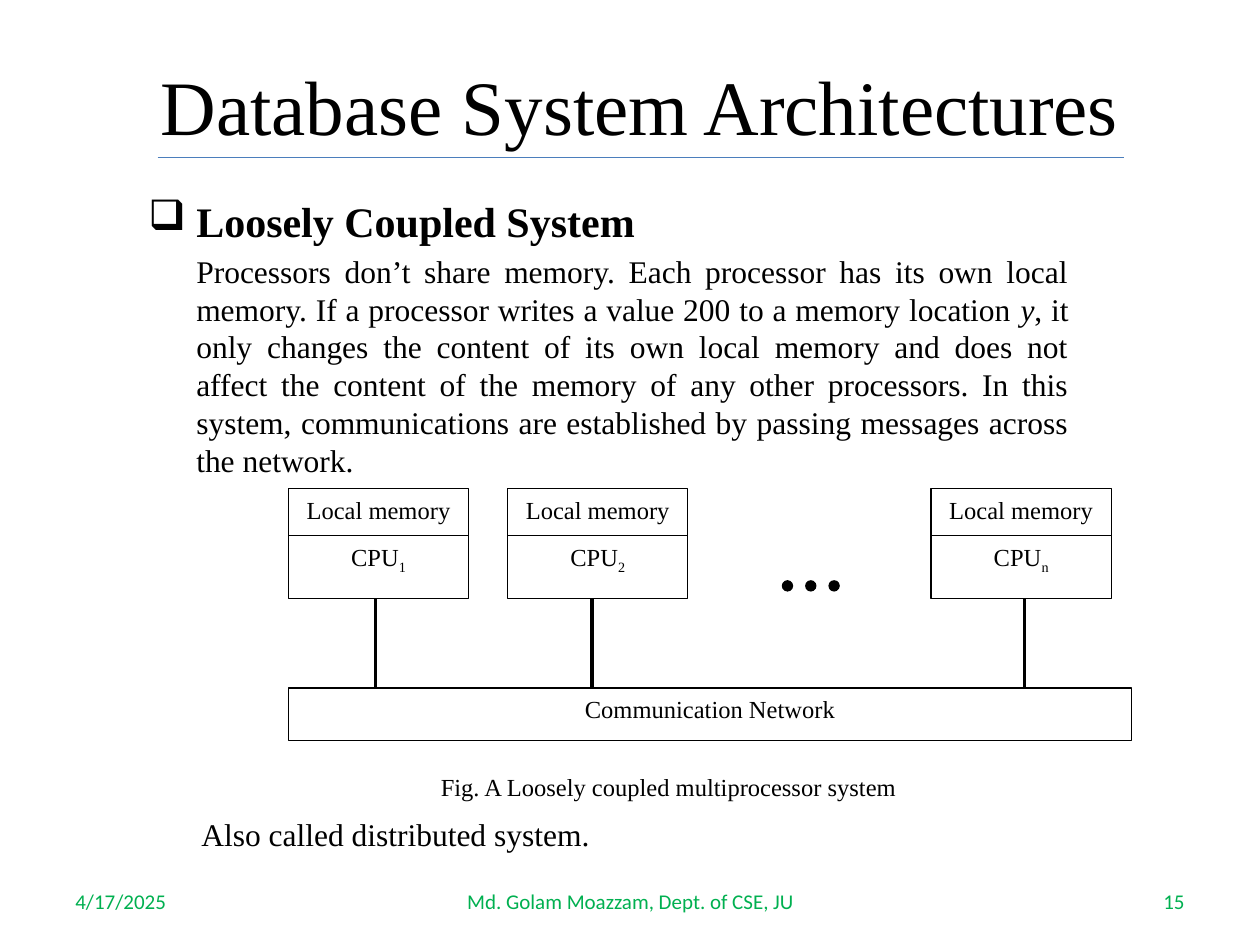
from lxml import etree
from pptx import Presentation
from pptx.dml.color import RGBColor
from pptx.enum.shapes import MSO_CONNECTOR, MSO_SHAPE
from pptx.enum.text import MSO_ANCHOR, PP_ALIGN
from pptx.oxml.ns import qn
from pptx.util import Inches, Pt

BLACK = RGBColor(0x00, 0x00, 0x00)
WHITE = RGBColor(0xFF, 0xFF, 0xFF)
GREEN = RGBColor(0x00, 0xB0, 0x50)
BLUE = RGBColor(0x4B, 0x7E, 0xBC)
SERIF = "Times New Roman"


def style(p, size, align=PP_ALIGN.LEFT, color=BLACK, name=SERIF, bold=False):
    """Format a paragraph and all its runs."""
    p.alignment = align
    for r in p.runs:
        f = r.font
        f.size, f.name, f.bold = Pt(size), name, bold
        f.color.rgb = color


def add_text(shapes, box, text, size, anchor=MSO_ANCHOR.TOP, **look):
    """Add a wrapped text box with one formatted paragraph."""
    tf = shapes.add_textbox(*map(Inches, box)).text_frame
    tf.word_wrap = True
    tf.vertical_anchor = anchor
    tf.text = text
    style(tf.paragraphs[0], size, **look)
    return tf


def add_line(shapes, x1, y1, x2, y2, color, width):
    """Add a straight line without a shadow."""
    line = shapes.add_connector(MSO_CONNECTOR.STRAIGHT, *map(Inches, (x1, y1, x2, y2)))
    line.line.color.rgb = color
    line.line.width = Pt(width)
    etree.SubElement(line._element.spPr, qn("a:effectLst"))


def add_block(shapes, kind, box, fill=None, outline=BLACK):
    """Add a flat shape with an optional fill and outline."""
    sp = shapes.add_shape(kind, *map(Inches, box))
    sp.shadow.inherit = False
    if fill is None:
        sp.fill.background()
    else:
        sp.fill.solid()
        sp.fill.fore_color.rgb = fill
    if outline is None:
        sp.line.fill.background()
    else:
        sp.line.color.rgb = outline
        sp.line.width = Pt(0.75)
    return sp


def add_label(shapes, box, text, sub="", align=PP_ALIGN.CENTER, **look):
    """Add a labelled rectangle, with an optional subscript."""
    tf = add_block(shapes, MSO_SHAPE.RECTANGLE, box, **look).text_frame
    tf.word_wrap = True
    tf.vertical_anchor = MSO_ANCHOR.TOP
    p = tf.paragraphs[0]
    p.text = text
    p.space_after = Pt(10)
    if sub:
        r = p.add_run()
        r.text = sub
        r.font._element.set("baseline", "-25000")
    style(p, 14, align)


def add_title(s, x, y, w, h):
    """Place the title and the rule beneath it."""
    add_text(s.shapes, (x, y, w, h), "Database System Architectures", 44,
             MSO_ANCHOR.BOTTOM, align=PP_ALIGN.CENTER)
    add_line(s.shapes, x + 0.17, y + h, x + w - 0.16, y + h, BLUE, 0.75)


def add_body(s, x, y, w, h):
    """Place the bulleted heading and its explanation."""
    tf = add_text(s.shapes, (x, y, w, h), "Loosely Coupled System", 24,
                  align=PP_ALIGN.JUSTIFY, bold=True)
    pPr = tf.paragraphs[0]._p.get_or_add_pPr()
    pPr.set("marL", str(Inches(0.38)))
    pPr.set("indent", str(-Inches(0.38)))
    etree.SubElement(pPr, qn("a:buChar")).set("char", "❑")
    p = tf.add_paragraph()
    p._p.get_or_add_pPr().set("marL", str(Inches(0.38)))
    p.space_before = Pt(3.6)
    for text, italic in (
        ("Processors don’t share memory. Each processor has its own local memory. "
         "If a processor writes a value 200 to a memory location ", False),
        ("y", True),
        (", it only changes the content of its own local memory and does not affect "
         "the content of the memory of any other processors. In this system, "
         "communications are established by passing messages across the network.", False),
    ):
        r = p.add_run()
        r.text = text
        r.font.italic = italic
    style(p, 18, PP_ALIGN.JUSTIFY)


def add_node(shapes, x, y, sub, link):
    """Place one memory and processor pair with its network link."""
    w, memory_h, cpu_h = 1.43, 0.37, 0.5
    add_label(shapes, (x, y + memory_h, w, cpu_h), "CPU", sub)
    add_label(shapes, (x, y, w, memory_h), "Local memory")
    bottom = y + memory_h + cpu_h
    add_line(shapes, x + link, bottom, x + link, bottom + 0.7, BLACK, 0)


def add_diagram(s, x, y, w):
    """Place the multiprocessor diagram and its caption."""
    shapes = s.shapes.add_group_shape().shapes
    add_label(shapes, (x, y + 1.58, w, 0.42), "Communication Network", fill=WHITE)
    for dx, sub, link in ((0, "1", 0.69), (1.74, "2", 0.67), (5.1, "n", 0.74)):
        add_node(shapes, x + dx, y, sub, link)
    for i in range(3):
        add_block(shapes, MSO_SHAPE.OVAL,
                  (x + 3.92 + 0.185 * i, y + 0.73, 0.08, 0.08), fill=BLACK)
    add_label(shapes, (x + 1.11, y + 2.2, 4.46, 0.42),
              "Fig. A Loosely coupled multiprocessor system",
              align=PP_ALIGN.LEFT, fill=WHITE, outline=None)


def add_footer(s, x, y, w, h):
    """Place the date, author and slide number."""
    for dx, width, text, align in (
        (0, 2.33, "4/17/2025", PP_ALIGN.LEFT),
        (2.92, 3.17, "Md. Golam Moazzam, Dept. of CSE, JU", PP_ALIGN.CENTER),
        (w - 2.33, 2.33, "15", PP_ALIGN.RIGHT),
    ):
        add_text(s.shapes, (x + dx, y, width, h), text, 12, MSO_ANCHOR.MIDDLE,
                 align=align, color=GREEN, name="Calibri")


def main():
    """Build and save the slide."""
    prs = Presentation()
    prs.slide_width, prs.slide_height = Inches(10), Inches(7.5)
    s = prs.slides.add_slide(prs.slide_layouts[6])
    add_title(s, 1.08, 0.38, 8, 0.87)
    add_body(s, 1.08, 1.5, 7.5, 2.5)
    add_text(s.shapes, (1.5, 6.42, 5.75, 0.5), "Also called distributed system.", 18)
    add_diagram(s, 2.29, 3.88, 6.69)
    add_footer(s, 0.5, 6.95, 9, 0.4)
    prs.save("out.pptx")


if __name__ == "__main__":
    main()
